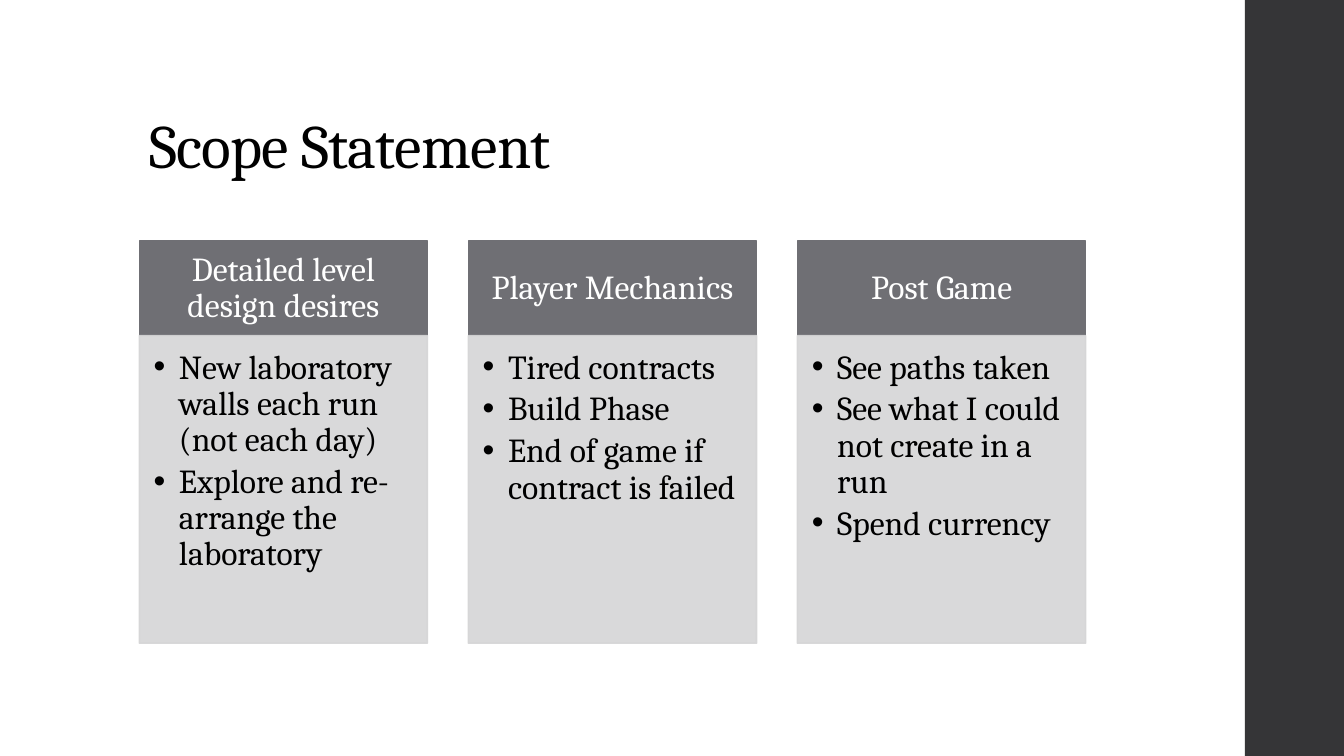
from lxml import etree
from pptx import Presentation
from pptx.dml.color import RGBColor
from pptx.enum.shapes import MSO_SHAPE
from pptx.enum.text import MSO_ANCHOR, PP_ALIGN
from pptx.oxml.ns import qn
from pptx.util import Cm, Pt

RECTANGLE = MSO_SHAPE.RECTANGLE
TOP, MIDDLE, BOTTOM = MSO_ANCHOR.TOP, MSO_ANCHOR.MIDDLE, MSO_ANCHOR.BOTTOM
LEFT, CENTER = PP_ALIGN.LEFT, PP_ALIGN.CENTER

FONT = "Cambria"
COLORS = {
    "side_bar": "353537",
    "header": "6F6F74",
    "body": "D5D5D6",
    "dark_text": "000000",
    "light_text": "FFFFFF",
}
COLUMNS = [
    ("Detailed level design desires",
     ["New laboratory walls each run (not each day)",
      "Explore and re-arrange the laboratory"]),
    ("Player Mechanics",
     ["Tired contracts", "Build Phase", "End of game if contract is failed"]),
    ("Post Game",
     ["See paths taken", "See what I could not create in a run", "Spend currency"]),
]
COLUMN_GAP = 1.03
HEADER_HEIGHT = 2.39


def color(name):
    return RGBColor.from_string(COLORS[name])


def set_opacity(fill, percent):
    """Make every solid colour below the given fill element partly transparent."""
    for value in fill.iter(qn("a:srgbClr")):
        etree.SubElement(value, qn("a:alpha"), val=str(percent * 1000))


def add_rectangle(page, box, fill_name, line_width=None):
    shape = page.shapes.add_shape(RECTANGLE, *map(Cm, box))
    shape.shadow.inherit = False
    shape.fill.solid()
    shape.fill.fore_color.rgb = color(fill_name)
    if line_width is None:
        shape.line.fill.background()
    else:
        shape.line.color.rgb = color(fill_name)
        shape.line.width = Pt(line_width)
    return shape


def write(frame, lines, size, color_name, anchor, align, space_after=0, insets=None):
    frame.text = "\n".join(lines)
    frame.word_wrap = True
    frame.vertical_anchor = anchor
    if insets:
        (frame.margin_left, frame.margin_top,
         frame.margin_right, frame.margin_bottom) = map(Cm, insets)
    for para in frame.paragraphs:
        para.alignment = align
        para.line_spacing = 0.9
        para.space_after = Pt(space_after)
        for span in para.runs:
            span.font.name = FONT
            span.font.size = Pt(size)
            span.font.color.rgb = color(color_name)


def add_bullets(frame, indent):
    for para in frame.paragraphs:
        properties = para._p.get_or_add_pPr()
        properties.set("marL", str(Cm(indent)))
        properties.set("indent", str(-Cm(indent)))
        etree.SubElement(properties, qn("a:buFont"), typeface="Arial")
        etree.SubElement(properties, qn("a:buChar"), char="•")


def add_title(page, box, text):
    frame = page.shapes.add_textbox(*map(Cm, box)).text_frame
    write(frame, [text], 44, "dark_text", BOTTOM, LEFT)
    # Slightly tightened letter spacing
    frame.paragraphs[0].runs[0].font._element.set("spc", "-50")


def add_column(page, box, heading, items):
    left, top, width, height = box

    # Heading band
    header = add_rectangle(page, (left, top, width, HEADER_HEIGHT), "header", 1.1)
    write(header.text_frame, [heading], 24, "light_text", MIDDLE, CENTER,
          insets=(0.48, 0.28, 0.48, 0.28))

    # Bulleted list below the heading
    body_box = (left, top + HEADER_HEIGHT, width, height - HEADER_HEIGHT)
    body = add_rectangle(page, body_box, "body", 1.1)
    set_opacity(body._element.spPr, 90)
    write(body.text_frame, items, 24, "dark_text", TOP, LEFT, space_after=4,
          insets=(0.36, 0.36, 0.48, 0.53))
    add_bullets(body.text_frame, 0.64)


def add_columns(page, box, columns):
    left, top, width, height = box
    column_width = (width - COLUMN_GAP * (len(columns) - 1)) / len(columns)
    for index, (heading, items) in enumerate(columns):
        column_left = left + index * (column_width + COLUMN_GAP)
        add_column(page, (column_left, top, column_width, height), heading, items)


def main():
    deck = Presentation()
    deck.slide_width, deck.slide_height = Cm(33.87), Cm(19.05)
    page = deck.slides.add_slide(deck.slide_layouts[6])

    add_rectangle(page, (31.37, 0, 2.5, 19.05), "side_bar")
    add_title(page, (3.51, 1.02, 26.92, 3.68), "Scope Statement")
    add_columns(page, (3.51, 6.07, 23.85, 10.14), COLUMNS)

    deck.save("out.pptx")


if __name__ == "__main__":
    main()
